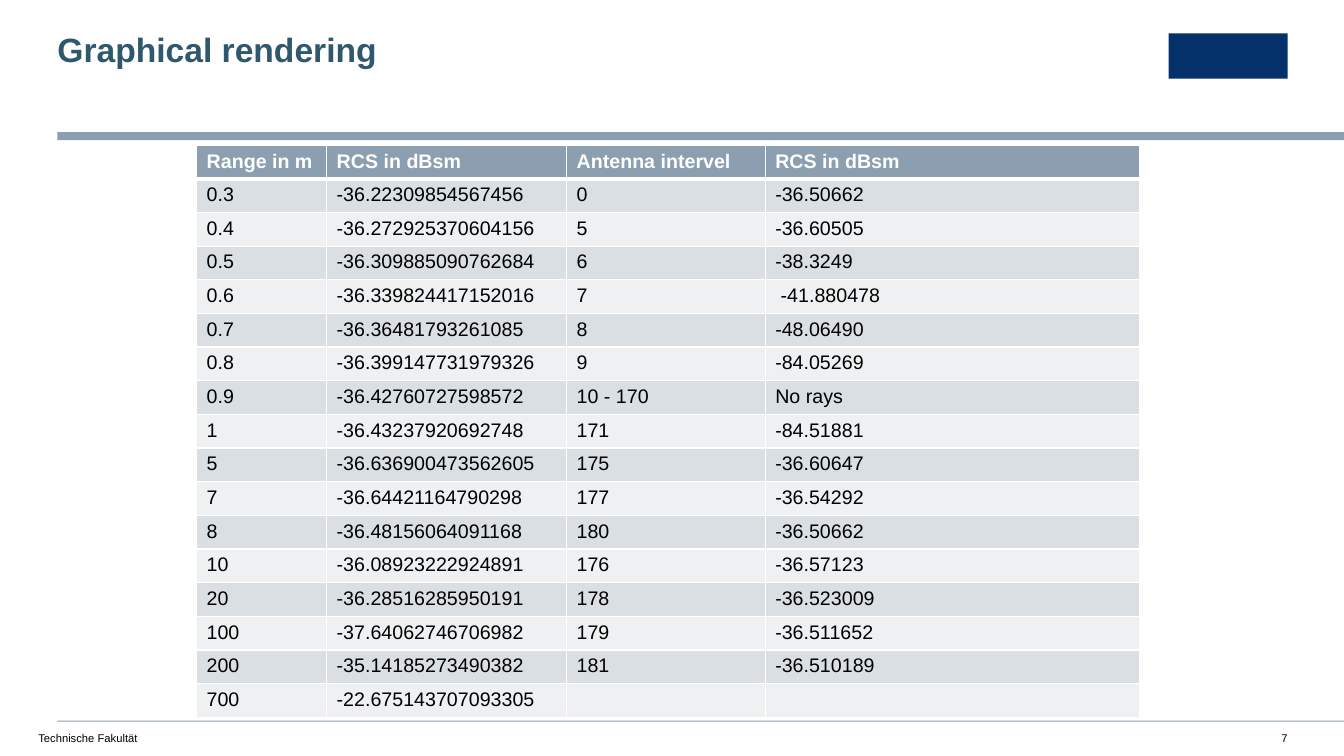
from lxml.etree import SubElement
from pptx import Presentation
from pptx.dml.color import RGBColor
from pptx.enum.shapes import MSO_SHAPE as Shape
from pptx.enum.text import MSO_ANCHOR as Anchor, PP_ALIGN as Align
from pptx.oxml.ns import qn
from pptx.util import Inches, Pt

SLIDE_WIDTH, SLIDE_HEIGHT = 13.33, 7.5
LEFT_MARGIN, RIGHT_EDGE = 0.57, 12.77
FOOTER_TOP, FOOTER_HEIGHT = 7.26, 0.13

COLORS = {
    "title": "2F586E",
    "accent": "8C9FB1",
    "emblem": "04316A",
    "band_dark": "DADFE4",
    "band_light": "EEF0F2",
    "white": "FFFFFF",
    "black": "000000",
}

FORMATS = {
    "title": {"size": Pt(24), "bold": True, "color": "title"},
    "footer": {"size": Pt(8), "bold": False, "color": "black"},
    "header": {"size": Pt(14), "bold": True, "color": "white"},
    "body": {"size": Pt(14), "bold": False, "color": "black"},
}

TABLE_LEFT, TABLE_TOP, TABLE_HEIGHT = 1.95, 1.44, 5.67
COLUMN_WIDTHS = [1.29, 2.38, 1.97, 3.71]
ROWS = [
    ("Range in m", "RCS in dBsm", "Antenna intervel", "RCS in dBsm"),
    ("0.3", "-36.22309854567456", "0", "-36.50662"),
    ("0.4", "-36.272925370604156", "5", "-36.60505"),
    ("0.5", "-36.309885090762684", "6", "-38.3249"),
    ("0.6", "-36.339824417152016", "7", " -41.880478"),
    ("0.7", "-36.36481793261085", "8", "-48.06490"),
    ("0.8", "-36.399147731979326", "9", "-84.05269"),
    ("0.9", "-36.42760727598572", "10 - 170", "No rays"),
    ("1", "-36.43237920692748", "171", "-84.51881"),
    ("5", "-36.636900473562605", "175", "-36.60647"),
    ("7", "-36.64421164790298", "177", "-36.54292"),
    ("8", "-36.48156064091168", "180", "-36.50662"),
    ("10", "-36.08923222924891", "176", "-36.57123"),
    ("20", "-36.28516285950191", "178", "-36.523009"),
    ("100", "-37.64062746706982", "179", "-36.511652"),
    ("200", "-35.14185273490382", "181", "-36.510189"),
    ("700", "-22.675143707093305", "", ""),
]


def rgb(name):
    return RGBColor.from_string(COLORS[name])


def format_font(font, style):
    font.name = "Arial"
    for attribute, value in FORMATS[style].items():
        if attribute == "color":
            font.color.rgb = rgb(value)
        else:
            setattr(font, attribute, value)


def write_text(frame, text, style, align=Align.LEFT):
    """Fill a frame without insets with one formatted line."""
    settings = {"margin_left": 0, "margin_top": 0, "margin_right": 0,
                "margin_bottom": 0, "word_wrap": True,
                "vertical_anchor": Anchor.TOP}
    for attribute, value in settings.items():
        setattr(frame, attribute, value)
    paragraph = frame.paragraphs[0]
    paragraph.alignment = align
    run = paragraph.add_run()
    run.text = text
    format_font(run.font, style)
    return paragraph


def add_block(slide, left, top, width, height, color):
    shape = slide.shapes.add_shape(
        Shape.RECTANGLE, *map(Inches, (left, top, width, height)))
    shape.shadow.inherit = False
    shape.fill.solid()
    shape.fill.fore_color.rgb = rgb(color)
    shape.line.fill.background()


def add_title(slide, text):
    title = slide.shapes.title
    title.left, title.top, title.width, title.height = map(
        Inches, (LEFT_MARGIN, 0.33, 7.49, 0.36))
    write_text(title.text_frame, text, "title").line_spacing = 0.9


def add_footer(slide, text, left, width, align=Align.LEFT):
    box = slide.shapes.add_textbox(
        *map(Inches, (left, FOOTER_TOP, width, FOOTER_HEIGHT)))
    write_text(box.text_frame, text, "footer", align)


def set_borders(cell, bottom_width):
    properties = cell._tc.get_or_add_tcPr()
    widths = {"a:lnL": 1, "a:lnR": 1, "a:lnT": 1, "a:lnB": bottom_width}
    for tag, width in widths.items():
        line = SubElement(properties, qn(tag), w=str(Pt(width)))
        fill = SubElement(line, qn("a:solidFill"))
        SubElement(fill, qn("a:srgbClr"), val=COLORS["white"])


def fill_cell(cell, text, style, color, bottom_width):
    set_borders(cell, bottom_width)
    cell.fill.solid()
    cell.fill.fore_color.rgb = rgb(color)
    paragraph = cell.text_frame.paragraphs[0]
    if text:
        run = paragraph.add_run()
        run.text = text
        format_font(run.font, style)
    else:
        # An empty cell keeps the text size, so its row does not grow
        size = FORMATS[style]["size"].centipoints
        SubElement(paragraph._p, qn("a:endParaRPr"), sz=str(size))


def add_measurements(slide):
    frame = slide.shapes.add_table(
        len(ROWS), len(COLUMN_WIDTHS), Inches(TABLE_LEFT), Inches(TABLE_TOP),
        Inches(sum(COLUMN_WIDTHS)), Inches(TABLE_HEIGHT))
    table = frame.table
    for column, width in zip(table.columns, COLUMN_WIDTHS):
        column.width = Inches(width)
    for row_index, values in enumerate(ROWS):
        if row_index == 0:
            look = ("header", "accent", 3)
        else:
            look = ("body", "band_dark" if row_index % 2 else "band_light", 1)
        # The header's thick edge is shared with the first body row
        for column_index, text in enumerate(values):
            fill_cell(table.cell(row_index, column_index), text, *look)


def main():
    presentation = Presentation()
    presentation.slide_width = Inches(SLIDE_WIDTH)
    presentation.slide_height = Inches(SLIDE_HEIGHT)
    slide = presentation.slides.add_slide(presentation.slide_layouts[5])

    # Rules running to the right edge, and the emblem block
    rule_width = SLIDE_WIDTH - LEFT_MARGIN
    add_block(slide, LEFT_MARGIN, 1.31, rule_width, 0.08, "accent")
    add_block(slide, LEFT_MARGIN, 7.15, rule_width, 0.01, "accent")
    add_block(slide, RIGHT_EDGE - 1.18, 0.33, 1.18, 0.45, "emblem")

    # Footer
    add_footer(slide, "Technische Fakultät", 0.38, 5.98)
    add_footer(slide, "7", RIGHT_EDGE - 0.21, 0.21, Align.RIGHT)

    # Title and table
    add_title(slide, "Graphical rendering")
    add_measurements(slide)
    presentation.save("out.pptx")


if __name__ == "__main__":
    main()
